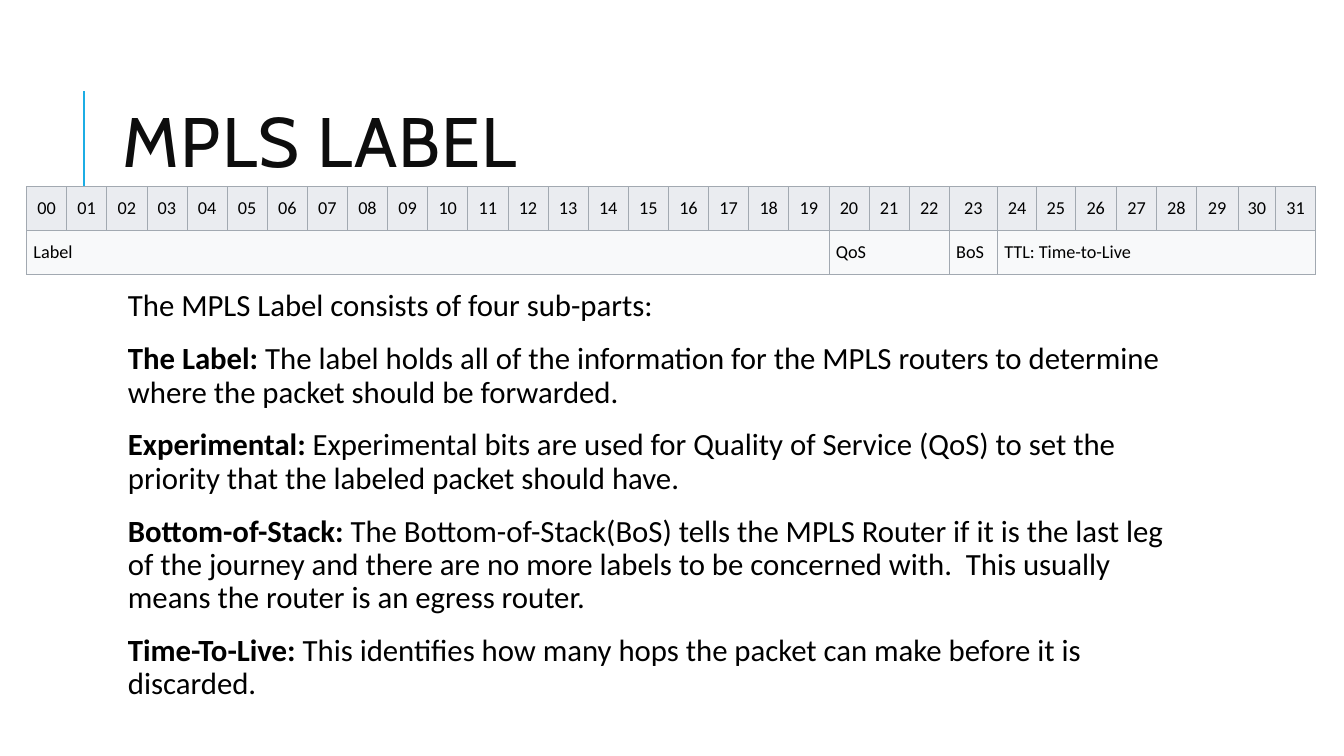
from lxml import etree
from pptx import Presentation
from pptx.dml.color import RGBColor
from pptx.enum.shapes import MSO_CONNECTOR
from pptx.enum.text import MSO_ANCHOR, MSO_AUTO_SIZE, PP_ALIGN
from pptx.oxml.ns import qn
from pptx.util import Pt

LINE = MSO_CONNECTOR.STRAIGHT
MID, TOP = MSO_ANCHOR.MIDDLE, MSO_ANCHOR.TOP
LEFT, CENTER = PP_ALIGN.LEFT, PP_ALIGN.CENTER
FIXED = MSO_AUTO_SIZE.NONE

COLORS = {
    "accent": "1CADE4", "title": "0D0D0D", "text": "000000",
    "head": "EAECF0", "cell": "F8F9FA", "border": "A2A9B1",
}
WIDTHS = [28.68] * 23 + [34.4, 28.1, 27.4, 29.5, 28.8, 28.1, 30.2, 26.6, 28.8]
FIELDS = [("Label", 20), ("QoS", 3), ("BoS", 1), ("TTL: Time-to-Live", 8)]
PARTS = [
    ("", "The MPLS Label consists of four sub-parts:"),
    ("The Label:", " The label holds all of the information for the MPLS routers "
     "to determine where the packet should be forwarded."),
    ("Experimental:", " Experimental bits are used for Quality of Service (QoS) "
     "to set the priority that the labeled packet should have."),
    ("Bottom-of-Stack:", " The Bottom-of-Stack(BoS) tells the MPLS Router if it is "
     "the last leg of the journey and there are no more labels to be concerned "
     "with.  This usually means the router is an egress router."),
    ("Time-To-Live:", " This identifies how many hops the packet can make before "
     "it is discarded."),
]


def color(name):
    return RGBColor.from_string(COLORS[name])


def write(para, words, size=13, font="Calibri", ink="text", bold=False, align=LEFT):
    para.alignment = align
    run = para.add_run()
    run.text = words
    run.font.size, run.font.name, run.font.bold = Pt(size), font, bold
    run.font.color.rgb = color(ink)
    return run


def place(shape, left, top, width, height, anchor):
    shape.left, shape.top = Pt(left), Pt(top)
    shape.width, shape.height = Pt(width), Pt(height)
    frame = shape.text_frame
    frame.word_wrap, frame.auto_size = True, FIXED
    frame.vertical_anchor = anchor
    return frame


def paint(parent, name):
    fill = etree.SubElement(parent, qn("a:solidFill"))
    etree.SubElement(fill, qn("a:srgbClr"), val=COLORS[name])


def bullet(para):
    props = para._p.get_or_add_pPr()
    props.set("marL", str(Pt(7.2)))
    props.set("indent", str(-Pt(7.2)))
    tint = etree.SubElement(props, qn("a:buClr"))
    etree.SubElement(tint, qn("a:srgbClr"), val=COLORS["accent"])
    etree.SubElement(props, qn("a:buChar"), char=" ")


def add_title(slide):
    frame = place(slide.shapes.title, 80.6, 46, 765.4, 118, MID)
    para = frame.paragraphs[0]
    para.line_spacing = 0.8
    run = write(para, "MPLS LABEL", size=50, font="Cabin", ink="title")
    run.font._element.set("spc", "100")


def add_body(slide):
    frame = place(slide.placeholders[1], 80.6, 203.8, 765.4, 316.8, TOP)
    frame.margin_left = frame.margin_right = Pt(3.6)
    frame.margin_top = frame.margin_bottom = Pt(3.6)
    for index, (lead, rest) in enumerate(PARTS):
        para = frame.add_paragraph() if index else frame.paragraphs[0]
        para.line_spacing = 0.9
        para.space_before, para.space_after = Pt(12), Pt(2)
        bullet(para)
        if lead:
            write(para, lead, size=22, bold=True)
        write(para, rest, size=22)


def add_rule(slide):
    rule = slide.shapes.add_connector(LINE, Pt(60), Pt(136.8), Pt(60), Pt(64.8))
    rule.line.color.rgb = color("accent")
    rule.line.width = Pt(1.5)
    etree.SubElement(rule._element.spPr, qn("a:effectLst"))


def style(cell, fill):
    cell.fill.solid()
    cell.fill.fore_color.rgb = color(fill)
    cell.vertical_anchor = MID
    cell.margin_left = cell.margin_right = Pt(5)
    cell.margin_top = cell.margin_bottom = Pt(2.9)
    props = cell._tc.get_or_add_tcPr()
    for spot, side in enumerate(("lnL", "lnR", "lnT", "lnB")):
        edge = etree.Element(qn("a:" + side), w=str(Pt(0.5)))
        paint(edge, "border")
        props.insert(spot, edge)


def add_bits(slide):
    frame = slide.shapes.add_table(
        2, len(WIDTHS), Pt(18.9), Pt(133.2), Pt(sum(WIDTHS)), Pt(62.6))
    table = frame.table
    table.first_row = table.horz_banding = False
    table.rows[0].height, table.rows[1].height = Pt(31.6), Pt(31)
    for bit, width in enumerate(WIDTHS):
        table.columns[bit].width = Pt(width)
        head = table.cell(0, bit)
        style(head, "head")
        style(table.cell(1, bit), "cell")
        write(head.text_frame.paragraphs[0], f"{bit:02}", align=CENTER)
    start = 0
    for name, span in FIELDS:
        cell = table.cell(1, start)
        if span > 1:
            cell.merge(table.cell(1, start + span - 1))
        write(cell.text_frame.paragraphs[0], name)
        start += span


def main():
    """Build the slide on the MPLS label and save it."""
    deck = Presentation()
    deck.slide_width, deck.slide_height = Pt(960), Pt(540)
    slide = deck.slides.add_slide(deck.slide_layouts[1])
    add_rule(slide)
    add_title(slide)
    add_body(slide)
    add_bits(slide)
    deck.save("out.pptx")


if __name__ == "__main__":
    main()
